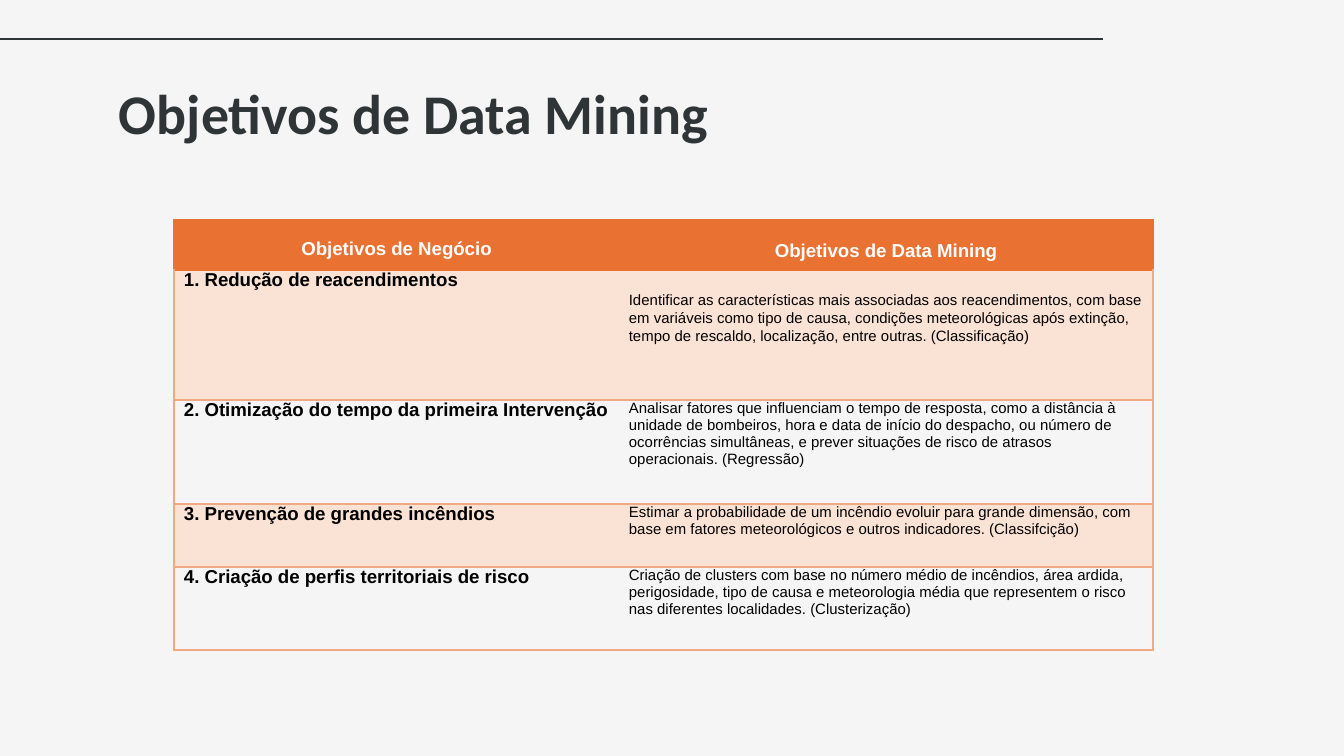
from lxml.etree import SubElement
from pptx import Presentation
from pptx.dml.color import RGBColor
from pptx.enum.shapes import MSO_CONNECTOR
from pptx.enum.text import MSO_ANCHOR, PP_ALIGN
from pptx.oxml.ns import qn
from pptx.util import Emu, Pt

BACKGROUND = RGBColor(0xF5, 0xF5, 0xF5)
DARK = RGBColor(0x2F, 0x35, 0x36)
ORANGE = RGBColor(0xE9, 0x71, 0x32)
LIGHT_ORANGE = RGBColor(0xF1, 0xA9, 0x83)
PEACH = RGBColor(0xFA, 0xE2, 0xD5)
WHITE = RGBColor(0xFF, 0xFF, 0xFF)
BLACK = RGBColor(0x00, 0x00, 0x00)

TITLE = "Objetivos de Data Mining"
HEADERS = ("Objetivos de Negócio", "Objetivos de Data Mining")
GOALS = [
    ("1. Redução de reacendimentos",
     "Identificar as características mais associadas aos reacendimentos, com base em "
     "variáveis como tipo de causa, condições meteorológicas após extinção, tempo de "
     "rescaldo, localização, entre outras. (Classificação)"),
    ("2. Otimização do tempo da primeira Intervenção",
     "Analisar fatores que influenciam o tempo de resposta, como a distância à unidade "
     "de bombeiros, hora e data de início do despacho, ou número de ocorrências "
     "simultâneas, e prever situações de risco de atrasos operacionais. (Regressão)"),
    ("3. Prevenção de grandes incêndios",
     "Estimar a probabilidade de um incêndio evoluir para grande dimensão, com base em "
     "fatores meteorológicos e outros indicadores. (Classifcição)"),
    ("4. Criação de perfis territoriais de risco",
     "Criação de clusters com base no número médio de incêndios, área ardida, "
     "perigosidade, tipo de causa e meteorologia média que representem o risco nas "
     "diferentes localidades. (Clusterização)"),
]
COLUMN_WIDTHS = (445, 534)
ROW_HEIGHTS = (50, 130, 104, 63, 83)
TOP_MARGINS = {(0, 0): 19, (0, 1): 21, (1, 1): 21}


def px(length):
    return Emu(round(length * 914400 / 134.4))


def add_run(paragraph, text, size, color, bold=True, font="Arial"):
    run = paragraph.add_run()
    run.text = text
    run.font.name = font
    run.font.size = Pt(size)
    run.font.bold = bold
    run.font.color.rgb = color


def add_borders(cell, colors):
    """Draw the left, right, top and bottom borders; None leaves a side open."""
    properties = cell._tc.get_or_add_tcPr()
    for side, color in zip("LRTB", colors):
        line = SubElement(properties, qn(f"a:ln{side}"), w=str(Pt(1)))
        if color is None:
            SubElement(line, qn("a:noFill"))
        else:
            fill = SubElement(line, qn("a:solidFill"))
            SubElement(fill, qn("a:srgbClr"), val=str(color))


def fill_cell(cell, row, column, text):
    is_header = row == 0
    edge = ORANGE if is_header else LIGHT_ORANGE
    top = ORANGE if row <= 1 else LIGHT_ORANGE
    left, right = (edge, None) if column == 0 else (None, edge)
    add_borders(cell, (left, right, top, edge))
    if is_header or row % 2:
        cell.fill.solid()
        cell.fill.fore_color.rgb = ORANGE if is_header else PEACH
    else:
        cell.fill.background()

    cell.margin_left = cell.margin_right = px(10)
    cell.margin_top = px(TOP_MARGINS.get((row, column), 0))
    cell.margin_bottom = 0
    cell.vertical_anchor = MSO_ANCHOR.TOP
    paragraph = cell.text_frame.paragraphs[0]
    if is_header:
        paragraph.alignment = PP_ALIGN.CENTER
    if (row, column) == (1, 1):
        paragraph.line_spacing = 1.07
        paragraph.space_after = Pt(6)
    is_description = column == 1 and not is_header
    add_run(paragraph, text, 8 if is_description else 10,
            WHITE if is_header else BLACK, bold=not is_description)


presentation = Presentation()
presentation.slide_width, presentation.slide_height = px(1344), px(756)
slide = presentation.slides.add_slide(presentation.slide_layouts[6])
slide.background.fill.solid()
slide.background.fill.fore_color.rgb = BACKGROUND

rule = slide.shapes.add_connector(MSO_CONNECTOR.STRAIGHT, px(1103), px(39), px(-7), px(39))
rule.line.color.rgb = DARK
rule.line.width = Pt(0.75)
SubElement(rule._element.spPr, qn("a:effectLst"))

title_box = slide.shapes.add_textbox(px(106), px(66), px(1133), px(85))
title_frame = title_box.text_frame
title_frame.word_wrap = True
title_frame.vertical_anchor = MSO_ANCHOR.TOP
title_frame.margin_left = title_frame.margin_right = px(13)
title_frame.margin_top = title_frame.margin_bottom = px(13)
add_run(title_frame.paragraphs[0], TITLE, 30, DARK, font="Calibri")

rows = [HEADERS, *GOALS]
table = slide.shapes.add_table(len(rows), len(HEADERS), px(174), px(220),
                               px(sum(COLUMN_WIDTHS)), px(sum(ROW_HEIGHTS))).table
for column, width in zip(table.columns, COLUMN_WIDTHS):
    column.width = px(width)
for row, height in zip(table.rows, ROW_HEIGHTS):
    row.height = px(height)
for row_index, texts in enumerate(rows):
    for column_index, text in enumerate(texts):
        fill_cell(table.cell(row_index, column_index), row_index, column_index, text)

presentation.save("out.pptx")
